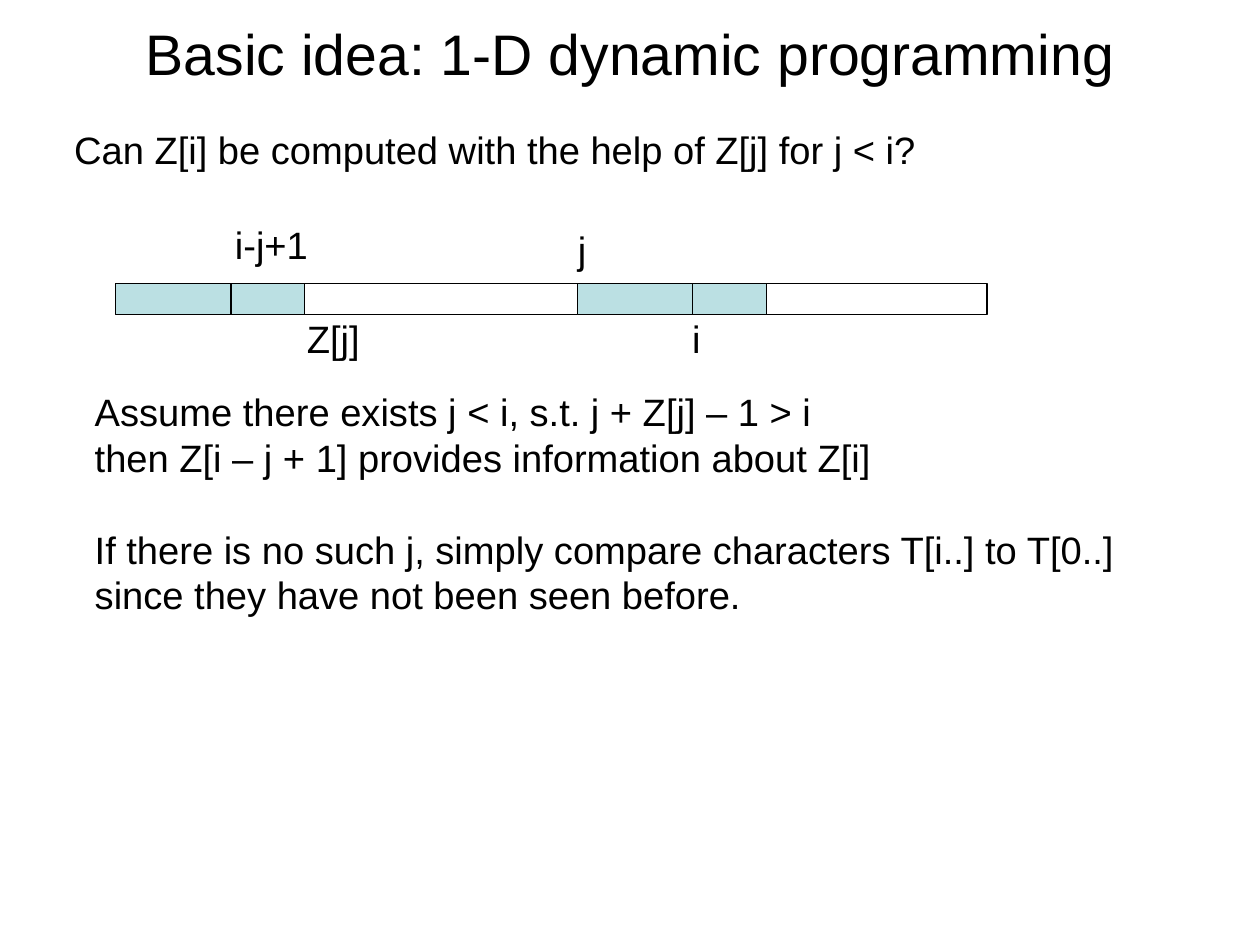
import pptx
import pptx.dml.color
import pptx.enum.shapes
import pptx.enum.text
import pptx.oxml
import pptx.util

Pt = pptx.util.Pt
COLORS = {"ink": "000000", "match": "BBE0E3"}
SLIDE_WIDTH, SLIDE_HEIGHT = 793.75, 595.25
BODY_SIZE = 24
BLANK_LINE = 28.8


def rgb(name):
    """Return the named colour."""
    return pptx.dml.color.RGBColor.from_string(COLORS[name])


def add_text(slide, box, lines, size=BODY_SIZE, centered=False, gaps=None):
    """Write lines in a box, with extra space before the lines listed in gaps."""
    frame = slide.shapes.add_textbox(*map(Pt, box)).text_frame
    frame.word_wrap = centered
    frame.auto_size = pptx.enum.text.MSO_AUTO_SIZE.SHAPE_TO_FIT_TEXT
    if centered:
        frame.vertical_anchor = pptx.enum.text.MSO_ANCHOR.MIDDLE
    for index, line in enumerate(lines):
        paragraph = frame.paragraphs[0] if index == 0 else frame.add_paragraph()
        if centered:
            paragraph.alignment = pptx.enum.text.PP_ALIGN.CENTER
        if gaps and index in gaps:
            paragraph.space_before = Pt(gaps[index])
        run = paragraph.add_run()
        run.text = line
        run.font.name = "Arial"
        run.font.size = Pt(size)
        run.font.color.rgb = rgb("ink")


def add_bar(slide, box, fill=None):
    """Draw an outlined bar, filled if a colour is named."""
    bar = slide.shapes.add_shape(
        pptx.enum.shapes.MSO_SHAPE.RECTANGLE, *map(Pt, box))
    bar.shadow.inherit = False
    if fill:
        bar.fill.solid()
        bar.fill.fore_color.rgb = rgb(fill)
    else:
        bar.fill.background()
    bar.line.color.rgb = rgb("ink")
    bar.line.width = Pt(0.75)


def add_match(slide, box, split):
    """Draw a matching segment divided at the given offset."""
    left, top, width, height = box
    add_bar(slide, box, "match")
    divider = slide.shapes.add_connector(
        pptx.enum.shapes.MSO_CONNECTOR.STRAIGHT,
        Pt(left + split), Pt(top), Pt(left + split), Pt(top + height))
    divider.line.color.rgb = rgb("ink")
    divider.line.width = Pt(0.75)
    properties = divider._element.spPr
    properties.append(properties.makeelement(pptx.oxml.ns.qn("a:effectLst"), {}))


def add_string_diagram(slide, box):
    """Draw the string with its two matching segments and index labels."""
    left, top, width, height = box
    add_bar(slide, box)
    for offset in (0, 291):
        add_match(slide, (left + offset, top, 119, height), 72.8)
    labels = [("i-j+1", 68.2, -42.5, 60.5), ("j", 284.2, -39.6, 19.5),
              ("Z[j]", 113.6, 16.6, 47.5), ("i", 356.2, 16.6, 19.5)]
    for label, across, down, label_width in labels:
        add_text(slide, (left + across, top + down, label_width, 34), [label])


def main():
    """Build and save the slide."""
    deck = pptx.Presentation()
    deck.slide_width, deck.slide_height = Pt(SLIDE_WIDTH), Pt(SLIDE_HEIGHT)
    slide = deck.slides.add_slide(deck.slide_layouts[6])
    add_text(slide, (0, 5.4, SLIDE_WIDTH, 55.5),
             ["Basic idea: 1-D dynamic programming"], 36, True)
    add_text(slide, (39.6, 76.3, 544.6, 34),
             ["Can Z[i] be computed with the help of Z[j] for j < i?"])
    add_string_diagram(slide, (72.7, 178.5, 549.1, 19.8))
    add_text(slide, (52.6, 241.4, 656.4, 141), [
        "Assume there exists j < i, s.t. j + Z[j] – 1 > i",
        "then Z[i – j + 1] provides information about Z[i]",
        "If there is no such j, simply compare characters T[i..] to T[0..]",
        "since they have not been seen before.",
    ], gaps={2: BLANK_LINE})
    deck.save("out.pptx")


if __name__ == "__main__":
    main()
